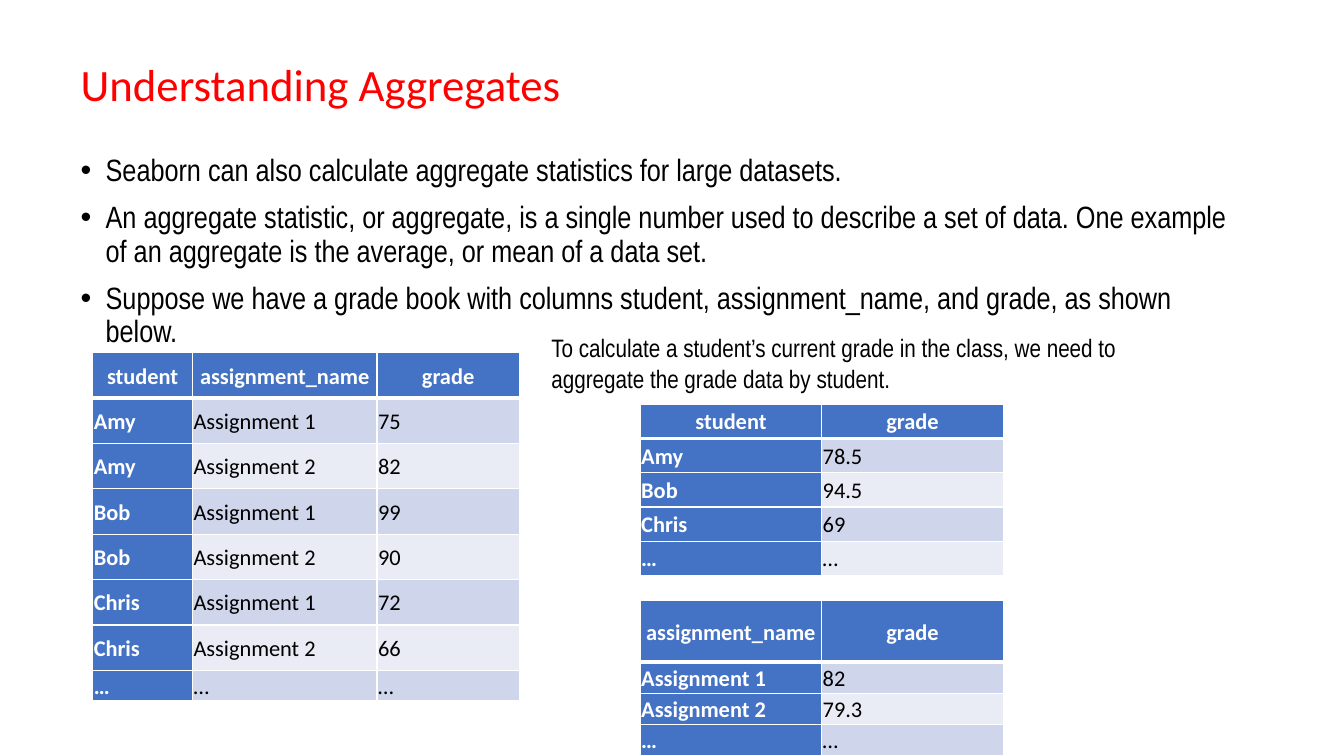
from lxml.etree import SubElement
from pptx import Presentation
from pptx.dml.color import RGBColor
from pptx.enum.text import MSO_ANCHOR, PP_ALIGN
from pptx.oxml import parse_xml
from pptx.oxml.ns import nsdecls, qn
from pptx.util import Inches, Pt

C = {"title": "FF0000", "text": "000000", "white": "FFFFFF",
     "head": "4472C4", "odd": "CFD5EA", "even": "E9EBF5"}
MARGIN, WIDTH = 0.7, 11.72

prs = Presentation()
prs.slide_width, prs.slide_height = Inches(13.33), Inches(7.5)
s = prs.slides.add_slide(prs.slide_layouts[5])


def write(p, text, size, font, color, bold=False, **para):
    r = p.add_run()
    r.text = text
    for name, value in {"size": Pt(size), "name": font, "bold": bold}.items():
        setattr(r.font, name, value)
    r.font.color.rgb = RGBColor.from_string(C[color])
    for name, value in para.items():
        setattr(p, name, value)


def add_grid(left, top, cols, heights, rows):
    box = map(Inches, (left, top, sum(cols), sum(heights)))
    table = s.shapes.add_table(len(rows), len(cols), *box).table
    table.first_col = True
    for col, width in zip(table.columns, cols):
        col.width = Inches(width)
    for i, (row, height) in enumerate(zip(rows, heights)):
        table.rows[i].height = Inches(height)
        for j, text in enumerate(row):
            cell = table.cell(i, j)
            head = i == 0 or j == 0
            for side in ("left", "right", "top", "bottom"):
                setattr(cell, f"margin_{side}", Inches(0.01))
            cell.vertical_anchor = MSO_ANCHOR.MIDDLE
            cell.fill.solid()
            fill = "head" if head else "odd" if i % 2 else "even"
            cell.fill.fore_color.rgb = RGBColor.from_string(C[fill])
            write(cell.text_frame.paragraphs[0], text, 16, "Calibri",
                  "white" if head else "text", head, line_spacing=1.07,
                  alignment=PP_ALIGN.CENTER if i == 0 else PP_ALIGN.LEFT)
            # White borders, heavier between the header and the first row
            weights = {"L": 1, "R": 1, "T": 3 if i == 1 else 1, "B": 3 if i == 0 else 1}
            for k, (side, weight) in enumerate(weights.items()):
                cell._tc.tcPr.insert(k, parse_xml(
                    f'<a:ln{side} {nsdecls("a")} w="{Pt(weight)}"><a:solidFill>'
                    f'<a:srgbClr val="{C["white"]}"/></a:solidFill></a:ln{side}>'))


# Title
title = s.shapes.title
for name, value in {"left": MARGIN, "top": 0.4, "width": WIDTH, "height": 0.92}.items():
    setattr(title, name, Inches(value))
title.text_frame.vertical_anchor = MSO_ANCHOR.MIDDLE
write(title.text_frame.paragraphs[0], "Understanding Aggregates", 32, "Calibri",
      "title", alignment=PP_ALIGN.LEFT, line_spacing=0.9)

# Bullets
bullets = [
    "Seaborn can also calculate aggregate statistics for large datasets.",
    "An aggregate statistic, or aggregate, is a single number used to describe a set of data. "
    "One example of an aggregate is the average, or mean of a data set.",
    "Suppose we have a grade book with columns student, assignment_name, and grade, "
    "as shown below.",
]
tf = s.shapes.add_textbox(*map(Inches, (MARGIN, 1.49, WIDTH, 5.26))).text_frame
tf.word_wrap = True
for i, text in enumerate(bullets):
    p = tf.add_paragraph() if i else tf.paragraphs[0]
    write(p, text, 22, "Arial Narrow", "text", line_spacing=0.9, space_before=Pt(10))
    pPr = p._p.get_or_add_pPr()
    pPr.set("marL", str(Inches(0.25)))
    pPr.set("indent", str(Inches(-0.25)))
    SubElement(pPr, qn("a:buFont")).set("typeface", "Arial")
    SubElement(pPr, qn("a:buChar")).set("char", "•")

# Grade book
grades = [("Amy", 75, 82), ("Bob", 99, 90), ("Chris", 72, 66)]
book = [(name, f"Assignment {n}", str(mark))
        for name, *marks in grades for n, mark in enumerate(marks, 1)]
add_grid(0.92, 3.5, [0.99, 1.83, 1.41], [0.45] * 7 + [0.28],
         [("student", "assignment_name", "grade"), *book, ("…",) * 3])

# Note above the aggregates
tf = s.shapes.add_textbox(*map(Inches, (5.37, 3.25, 6.67, 0.71))).text_frame
tf.word_wrap = True
write(tf.paragraphs[0], "To calculate a student’s current grade in the class, we need to "
      "aggregate the grade data by student.", 18, "Arial Narrow", "text")

# Aggregates by student and by assignment
add_grid(6.35, 4.01, [1.8] * 2, [0.34] * 5,
         [("student", "grade"), ("Amy", "78.5"), ("Bob", "94.5"), ("Chris", "69"), ("…", "…")])
add_grid(6.35, 5.96, [1.8] * 2, [0.61] + [0.31] * 3,
         [("assignment_name", "grade"), ("Assignment 1", "82"),
          ("Assignment 2", "79.3"), ("…", "…")])

prs.save("out.pptx")
